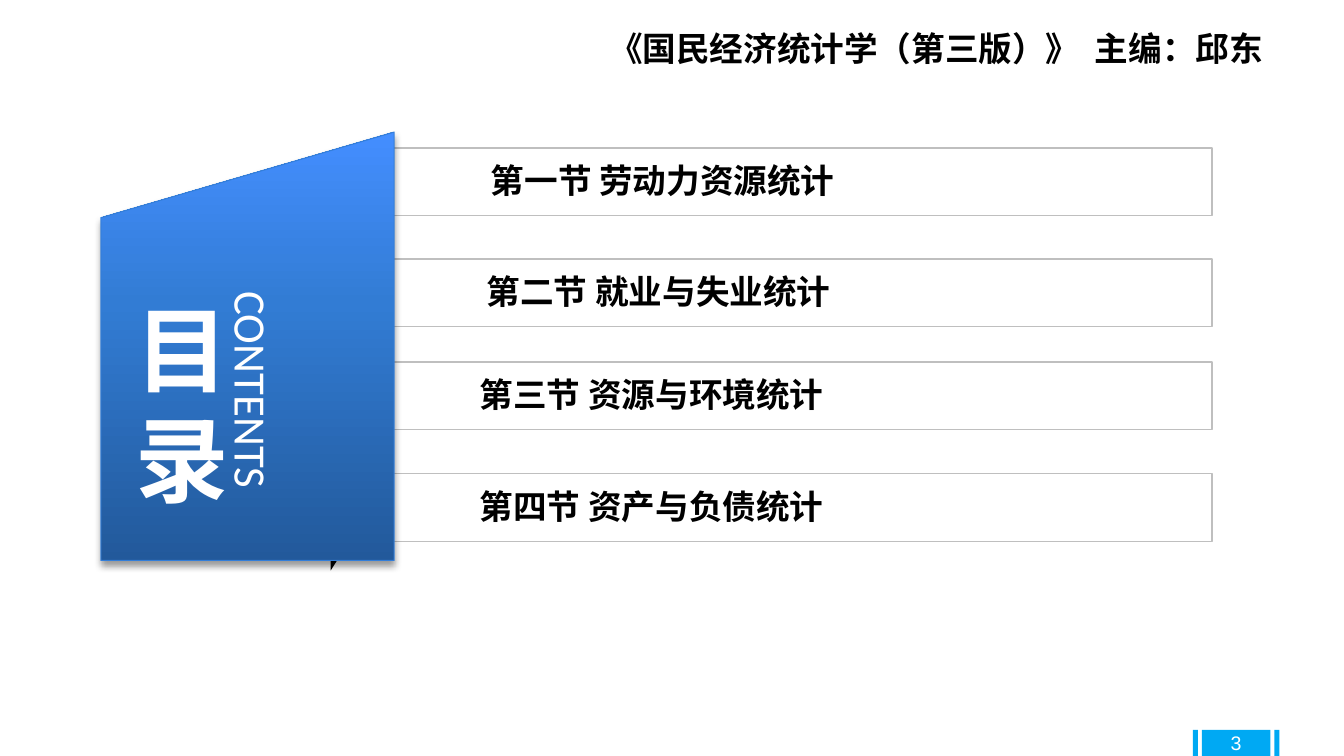
from pptx import Presentation
from pptx.dml.color import RGBColor
from pptx.enum.shapes import MSO_SHAPE as Shape
from pptx.enum.text import MSO_ANCHOR as Anchor, MSO_AUTO_SIZE as AutoSize, PP_ALIGN as Align
from pptx.oxml import parse_xml
from pptx.oxml.ns import nsdecls, qn
from pptx.util import Emu, Pt

PX = 9144  # 100 px to the inch
CJK = "Noto Sans CJK SC"


def px(n):
    return Emu(n * PX)


def rgb(value):
    return RGBColor.from_string(value)


def write(s, text, size=24, font=CJK, color="000000", bold=False,
          align=Align.LEFT, anchor=Anchor.TOP, top=5, spacing=None):
    tf = s.text_frame
    tf.word_wrap = True
    tf.auto_size = AutoSize.NONE
    tf.vertical_anchor = anchor
    tf.margin_left = tf.margin_right = px(10)
    tf.margin_top, tf.margin_bottom = px(top), px(5)
    p = tf.paragraphs[0]
    p.alignment = align
    p.space_before = Pt(0)
    p.line_spacing = spacing
    r = p.add_run()
    r.text = text
    r.font.size, r.font.name, r.font.bold = Pt(size), font, bold
    r.font.color.rgb = rgb(color)
    ea = r._r.get_or_add_rPr().makeelement(qn("a:ea"), {"typeface": font})
    r.font._element.find(qn("a:latin")).addnext(ea)


class ContentsSlide:
    accent = "00A9F3"
    border = "BFBFBF"

    def __init__(self, prs):
        self.slide = prs.slides.add_slide(prs.slide_layouts[5])
        self.shapes = self.slide.shapes

    def title(self, x, y, w, h, text, **fmt):
        s = self.shapes.title
        s.left, s.top, s.width, s.height = map(px, (x, y, w, h))
        write(s, text, **fmt)

    def text(self, x, y, w, h, text, rotation=0, **fmt):
        s = self.shapes.add_textbox(*map(px, (x, y, w, h)))
        s.rotation = rotation
        write(s, text, **fmt)

    def style(self, s, fill, line=None, width=1):
        s.shadow.inherit = False
        s.fill.solid()
        s.fill.fore_color.rgb = rgb(fill)
        if line:
            s.line.color.rgb = rgb(line)
            s.line.width = Pt(width)
        else:
            s.line.fill.background()
        return s

    def shape(self, kind, x, y, w, h, fill, **line):
        return self.style(self.shapes.add_shape(kind, *map(px, (x, y, w, h))), fill, **line)

    def polygon(self, points, fill):
        builder = self.shapes.build_freeform(*points[0], scale=PX)
        builder.add_line_segments(points[1:], close=True)
        return self.style(builder.convert_to_shape(), fill)

    def section(self, left, top, text_left, text):
        self.shape(Shape.RECTANGLE, left, top, 1202 - left, 67, "FFFFFF", line=self.border)
        self.text(text_left, top + 7, 1176 - text_left, 50, text, bold=True)

    def panel(self, x, y, w, h, stops):
        """Slanted panel with a bottom-to-top gradient and a soft shadow."""
        s = self.shape(Shape.FLOWCHART_MANUAL_INPUT, x, y, w, h, stops[0][1],
                       line="337ED9", width=0.75)
        spPr = s._element.spPr
        marks = "".join(f'<a:gs pos="{pos * 1000}"><a:srgbClr val="{c}"/></a:gs>'
                        for pos, c in stops)
        spPr.replace(spPr.find(qn("a:solidFill")), parse_xml(
            f'<a:gradFill {nsdecls("a")} rotWithShape="1"><a:gsLst>{marks}</a:gsLst>'
            '<a:lin ang="16200000" scaled="0"/></a:gradFill>'))
        spPr.find(qn("a:effectLst")).append(parse_xml(
            f'<a:outerShdw {nsdecls("a")} blurRad="{Pt(5.2)}" dist="{Pt(3)}" dir="5400000" '
            'rotWithShape="0"><a:srgbClr val="000000"><a:alpha val="40000"/></a:srgbClr>'
            '</a:outerShdw>'))


def main():
    prs = Presentation()
    prs.slide_width, prs.slide_height = px(1333), px(750)
    page = ContentsSlide(prs)

    page.title(594, 23, 723, 51, "《国民经济统计学（第三版）》  主编：邱东", bold=True)

    sections = [
        (383, 147, 477, "第一节 劳动力资源统计"),
        (367, 257, 473, "第二节 就业与失业统计"),
        (359, 359, 466, "第三节 资源与环境统计"),
        (359, 470, 466, "第四节 资产与负债统计"),
    ]
    for section in sections:
        page.section(*section)

    page.polygon([(349, 533), (328, 566), (328, 503), (349, 470)], "000000")
    page.panel(100, 131, 291, 425, [(0, "22599B"), (60, "327CD4"), (100, "448EFF")])
    page.text(125, 276, 74, 235, "目录", size=66.7, color="FFFFFF", bold=True,
              align=Align.JUSTIFY, top=15, spacing=Pt(79))
    page.text(110, 387, 280, 64, "CONTENTS", rotation=90, size=32, font="Calibri",
              color="FFFFFF")

    for left, width in [(1183, 5), (1192, 68), (1264, 5)]:
        page.shape(Shape.RECTANGLE, left, 724, width, 27, page.accent)
    page.text(1192, 717, 68, 40, "3", size=14, font="Arial", color="FFFFFF",
              align=Align.CENTER, anchor=Anchor.MIDDLE)

    prs.save("out.pptx")


if __name__ == "__main__":
    main()
